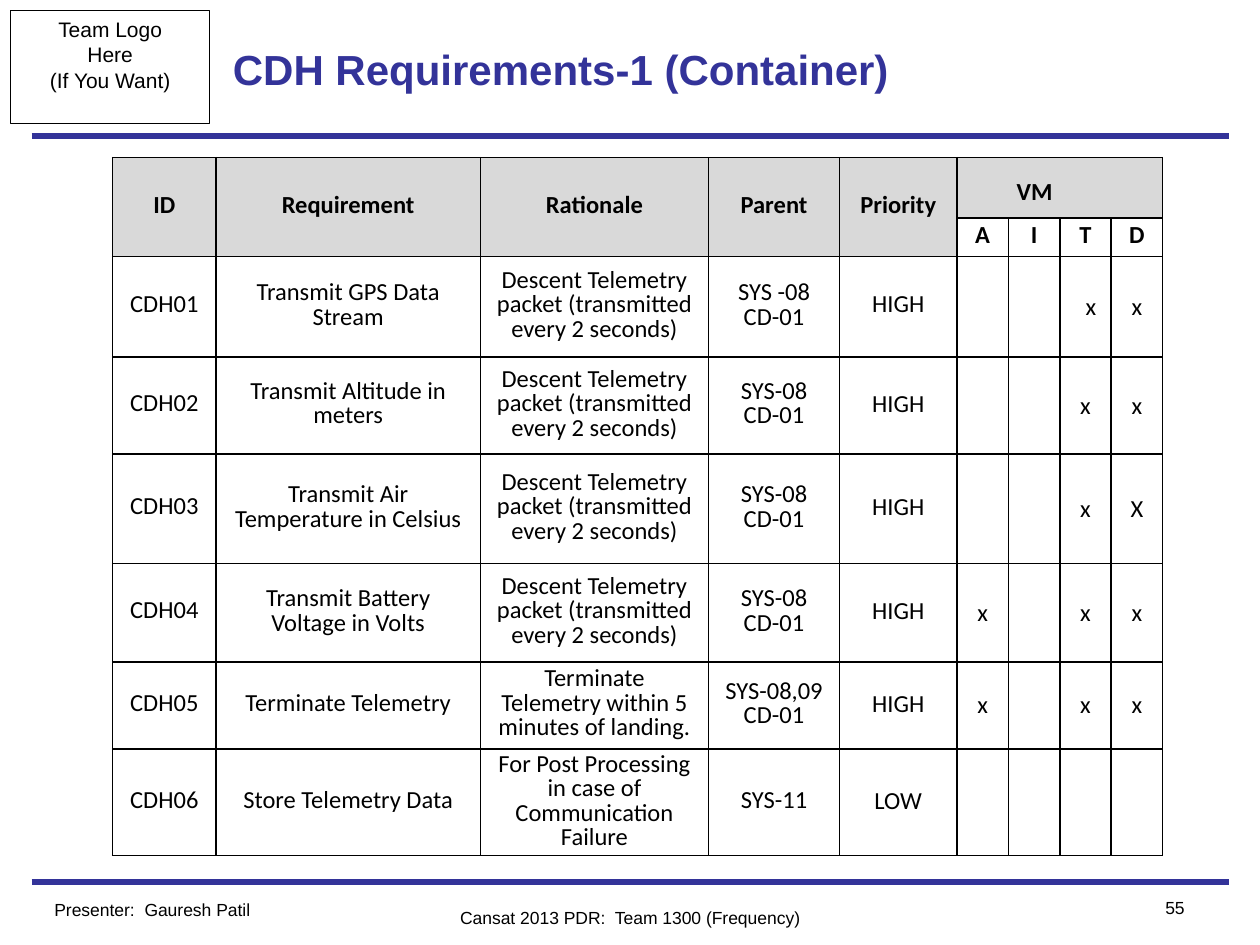
from dataclasses import dataclass

from lxml.etree import SubElement
from pptx import Presentation
from pptx.dml.color import RGBColor
from pptx.enum.shapes import MSO_CONNECTOR, MSO_SHAPE
from pptx.enum.text import MSO_ANCHOR, PP_ALIGN
from pptx.oxml.ns import qn
from pptx.util import Pt


@dataclass(frozen=True)
class Theme:
    accent: str = "333399"
    ink: str = "000000"
    header_fill: str = "D9D9D9"
    heading_font: str = "Arial"
    table_font: str = "Calibri"
    title_size: int = 24
    table_size: int = 14
    badge_size: int = 12
    footer_size: int = 10
    rule_width: float = 3
    border_width: float = 1


# Content
TITLE = "CDH Requirements-1 (Container)"
BADGE = "Team Logo\nHere\n(If You Want)"
PRESENTER = "Presenter:  Gauresh Patil"
EVENT = "Cansat 2013 PDR:  Team 1300 (Frequency)"
PAGE_NUMBER = "55"

HEADINGS = ["ID", "Requirement", "Rationale", "Parent", "Priority"]
METHOD_HEADING = "VM"
METHODS = ["A", "I", "T", "D"]
PACKET = "Descent Telemetry packet (transmitted every 2 seconds)"
REQUIREMENTS = [
    ["CDH01", "Transmit GPS Data Stream", PACKET, "SYS -08\nCD-01", "HIGH", "", "", "x", "x"],
    ["CDH02", "Transmit Altitude in meters", PACKET, "SYS-08\nCD-01", "HIGH", "", "", "x", "x"],
    ["CDH03", "Transmit Air Temperature in Celsius", PACKET, "SYS-08\nCD-01", "HIGH",
     "", "", "x", "X"],
    ["CDH04", "Transmit Battery Voltage in Volts", PACKET, "SYS-08\nCD-01", "HIGH",
     "x", "", "x", "x"],
    ["CDH05", "Terminate Telemetry", "Terminate Telemetry within 5 minutes of landing.",
     "SYS-08,09\nCD-01", "HIGH", "x", "", "x", "x"],
    ["CDH06", "Store Telemetry Data", "For Post Processing in case of Communication Failure",
     "SYS-11", "LOW", "", "", "", ""],
]

# Layout, in points
PAGE_WIDTH, PAGE_HEIGHT = 720, 540
RULE_LEFT, RULE_RIGHT = 18, 702
RULE_HEIGHTS = [77.76, 504]
TABLE_LEFT, TABLE_TOP = 64.4, 90
COLUMN_WIDTHS = [59, 151.2, 130.3, 75, 67] + [29.4] * len(METHODS)
ROW_HEIGHTS = [34.6, 21.9, 57.6, 55.4, 62.6, 56.2, 49.7, 60.5]
TIGHT, LOOSE = 0.82, 0.93
PRIORITY_COLUMN = HEADINGS.index("Priority")
METHOD_COLUMN = len(HEADINGS)

theme = Theme()


def color(value):
    return RGBColor.from_string(value)


def style_text(frame, font, size, ink=theme.ink, bold=False, align=PP_ALIGN.LEFT):
    for para in frame.paragraphs:
        para.alignment = align
        para.font.size = Pt(size)
        for span in para.runs:
            span.font.name = font
            span.font.size = Pt(size)
            span.font.bold = bold
            span.font.color.rgb = color(ink)


def add_text(page, text, left, top, width, height, size, anchor=MSO_ANCHOR.TOP, **style):
    box = page.shapes.add_textbox(Pt(left), Pt(top), Pt(width), Pt(height))
    frame = box.text_frame
    frame.word_wrap = True
    frame.vertical_anchor = anchor
    frame.text = text
    style_text(frame, theme.heading_font, size, **style)


def add_rule(page, height):
    rule = page.shapes.add_connector(
        MSO_CONNECTOR.STRAIGHT, Pt(RULE_LEFT), Pt(height), Pt(RULE_RIGHT), Pt(height))
    rule.line.color.rgb = color(theme.accent)
    rule.line.width = Pt(theme.rule_width)
    SubElement(rule._element.spPr, qn("a:effectLst"))


def add_badge(page):
    badge = page.shapes.add_shape(MSO_SHAPE.RECTANGLE, Pt(6), Pt(6), Pt(114), Pt(64.8))
    badge.shadow.inherit = False
    badge.fill.background()
    badge.line.color.rgb = color(theme.ink)
    badge.line.width = Pt(0.5)
    frame = badge.text_frame
    frame.word_wrap = False
    frame.vertical_anchor = MSO_ANCHOR.TOP
    frame.text = BADGE
    style_text(frame, theme.heading_font, theme.badge_size, align=PP_ALIGN.CENTER)


def add_borders(cell):
    properties = cell._tc.get_or_add_tcPr()
    for side in ("lnL", "lnR", "lnT", "lnB"):
        line = SubElement(properties, qn(f"a:{side}"), w=str(Pt(theme.border_width)))
        fill = SubElement(line, qn("a:solidFill"))
        SubElement(fill, qn("a:srgbClr"), val=theme.ink)


def fill_cell(cell, text, bold=False, shaded=False, spacing=TIGHT, top=2.2):
    add_borders(cell)
    if shaded:
        cell.fill.solid()
        cell.fill.fore_color.rgb = color(theme.header_fill)
    else:
        cell.fill.background()
    cell.vertical_anchor = MSO_ANCHOR.MIDDLE
    cell.margin_left = cell.margin_right = Pt(7.2)
    cell.margin_top, cell.margin_bottom = Pt(top), Pt(3.6)
    cell.text_frame.text = text
    style_text(cell.text_frame, theme.table_font, theme.table_size,
               bold=bold, align=PP_ALIGN.CENTER)
    for para in cell.text_frame.paragraphs:
        para.line_spacing = spacing


def add_requirements(page):
    grid = [HEADINGS + [METHOD_HEADING, "", "", ""], [""] * METHOD_COLUMN + METHODS]
    grid += REQUIREMENTS
    table = page.shapes.add_table(
        len(grid), len(COLUMN_WIDTHS), Pt(TABLE_LEFT), Pt(TABLE_TOP),
        Pt(sum(COLUMN_WIDTHS)), Pt(sum(ROW_HEIGHTS))).table
    table.first_row = table.horz_banding = False
    for column, width in zip(table.columns, COLUMN_WIDTHS):
        column.width = Pt(width)
    for row, height in zip(table.rows, ROW_HEIGHTS):
        row.height = Pt(height)

    for row, texts in enumerate(grid):
        for column, text in enumerate(texts):
            cell = table.cell(row, column)
            if row < 2:
                shaded = row == 0 or column < METHOD_COLUMN
                fill_cell(cell, text, bold=True, shaded=shaded)
            elif column >= METHOD_COLUMN:
                fill_cell(cell, text, spacing=1.0, top=3.6)
            elif column == PRIORITY_COLUMN and row > 2:
                fill_cell(cell, text, spacing=LOOSE)
                cell.text_frame.paragraphs[0].space_after = Pt(10)
            else:
                fill_cell(cell, text)

    # Merged headings
    for column in range(METHOD_COLUMN):
        table.cell(0, column).merge(table.cell(1, column))
    method = table.cell(0, METHOD_COLUMN)
    method.merge(table.cell(0, len(COLUMN_WIDTHS) - 1))
    method.margin_left, method.margin_top = Pt(34.2), Pt(9)
    method.text_frame.paragraphs[0].alignment = PP_ALIGN.LEFT
    method.text_frame.paragraphs[0].line_spacing = 1.0

    # The first T mark sits right of centre
    table.cell(2, METHOD_COLUMN + METHODS.index("T")).margin_left = Pt(13.5)


def main():
    deck = Presentation()
    deck.slide_width, deck.slide_height = Pt(PAGE_WIDTH), Pt(PAGE_HEIGHT)
    page = deck.slides.add_slide(deck.slide_layouts[6])

    # Header and rules
    for height in RULE_HEIGHTS:
        add_rule(page, height)
    add_badge(page)
    add_text(page, TITLE, 126, 6, 468, 66, theme.title_size,
             anchor=MSO_ANCHOR.MIDDLE, ink=theme.accent, bold=True)

    # Requirements table
    add_requirements(page)

    # Footer
    add_text(page, PRESENTER, 24, 510, 180, 19.4, theme.footer_size)
    add_text(page, EVENT, 216, 514.8, 288, 19.4, theme.footer_size, align=PP_ALIGN.CENTER)
    add_text(page, PAGE_NUMBER, 630, 509, 54, 19.4, theme.footer_size, align=PP_ALIGN.RIGHT)

    deck.save("out.pptx")


if __name__ == "__main__":
    main()
